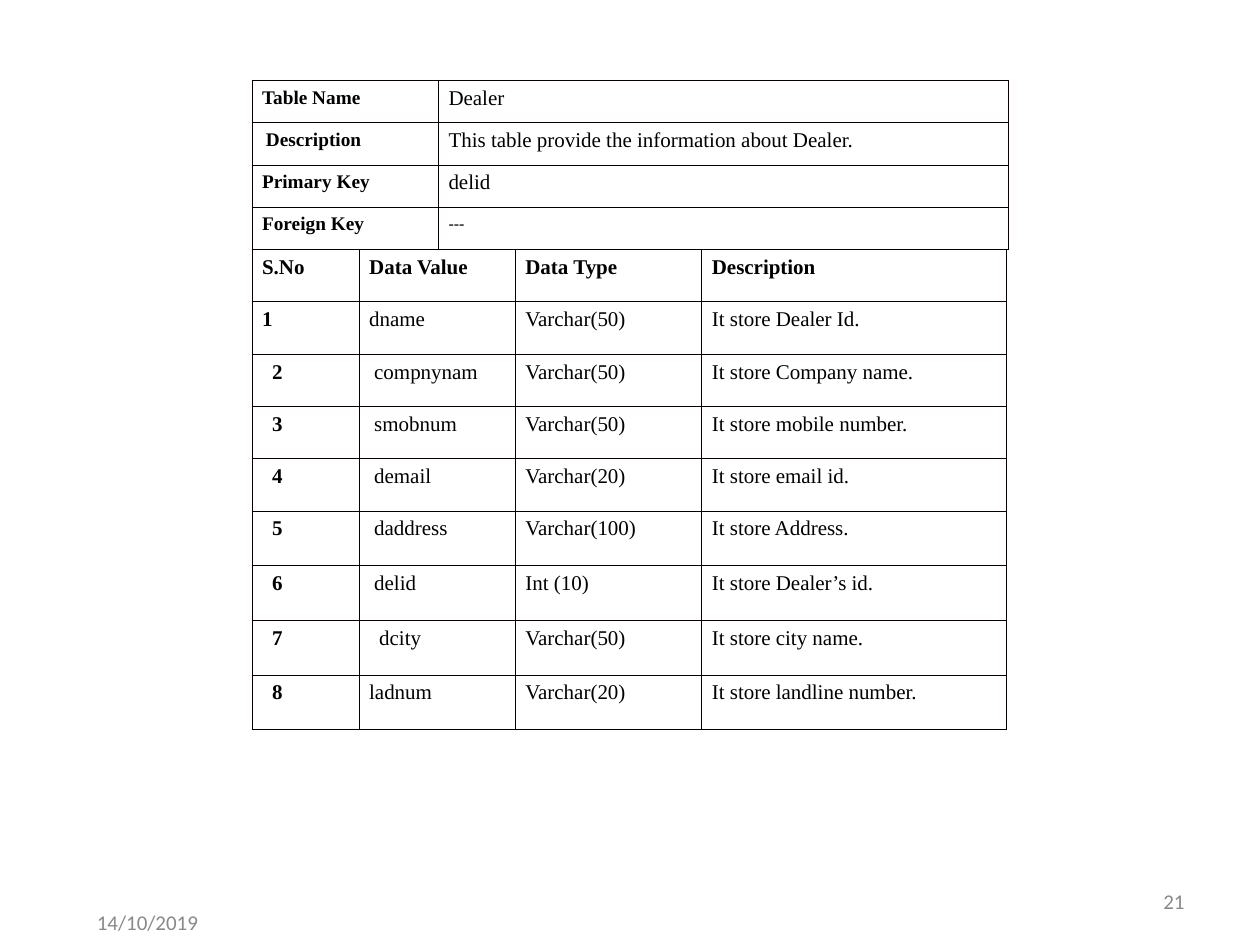
from dataclasses import dataclass

from lxml.etree import SubElement
from pptx import Presentation
from pptx.dml.color import RGBColor
from pptx.enum.text import MSO_ANCHOR, PP_ALIGN
from pptx.oxml.ns import qn
from pptx.slide import Slide
from pptx.table import _Cell
from pptx.util import Inches, Pt

COLORS = {"text": "000000", "border": "080000", "footer": "898989"}
SERIF, SANS = "Times New Roman", "Calibri"
SPACE = 0.04  # width of one step of cell indent


@dataclass
class CellText:
    text: str
    bold: bool = False
    size: float = 12
    font: str = SERIF
    indent: float = 0


@dataclass
class Grid:
    left: float
    top: float
    columns: list[float]
    heights: list[float]
    rows: list[list[CellText]]


@dataclass
class Footer:
    text: str
    left: float
    top: float
    alignment: PP_ALIGN


def label(text: str, indent: float = 0) -> CellText:
    return CellText(text, bold=True, size=11, indent=indent)


def field_row(number: int, name: str, steps: int, data_type: str, description: str) -> list[CellText]:
    number_indent = 0 if number == 1 else 2 * SPACE
    return [
        CellText(str(number), bold=True, indent=number_indent),
        CellText(name, indent=steps * SPACE),
        CellText(data_type),
        CellText(description),
    ]


SUMMARY = Grid(2, 0.64, [1.48, 4.52], [0.335] * 4, [
    [label("Table Name"), CellText("Dealer")],
    [label("Description", 0.03), CellText("This table provide the information about Dealer.")],
    [label("Primary Key"), CellText("delid")],
    [label("Foreign Key"), CellText("---", size=10, font=SANS)],
])

FIELDS = Grid(2, 1.98, [0.85, 1.24, 1.48, 2.42], [0.415] * 5 + [0.434] * 4, [
    [CellText(heading, bold=True) for heading in ("S.No", "Data Value", "Data Type", "Description")],
    field_row(1, "dname", 0, "Varchar(50)", "It store Dealer Id."),
    field_row(2, "compnynam", 1, "Varchar(50)", "It store Company name."),
    field_row(3, "smobnum", 1, "Varchar(50)", "It store mobile number."),
    field_row(4, "demail", 1, "Varchar(20)", "It store email id."),
    field_row(5, "daddress", 1, "Varchar(100)", "It store Address."),
    field_row(6, "delid", 1, "Int (10)", "It store Dealer’s id."),
    field_row(7, "dcity", 2, "Varchar(50)", "It store city name."),
    field_row(8, "ladnum", 0, "Varchar(20)", "It store landline number."),
])

FOOTERS = [
    Footer("21", 7.17, 6.95, PP_ALIGN.RIGHT),
    Footer("14/10/2019", 0.67, 7.12, PP_ALIGN.LEFT),
]


def set_borders(cell: _Cell) -> None:
    properties = cell._tc.get_or_add_tcPr()
    for side in ("lnL", "lnR", "lnT", "lnB"):
        line = SubElement(properties, qn(f"a:{side}"), w=str(Pt(0.45)))
        fill = SubElement(line, qn("a:solidFill"))
        SubElement(fill, qn("a:srgbClr"), val=COLORS["border"])


def fill_cell(cell: _Cell, content: CellText) -> None:
    set_borders(cell)
    cell.fill.background()
    cell.margin_left = Inches(0.08 + content.indent)
    cell.margin_right = Inches(0.08)
    cell.margin_top = cell.margin_bottom = Inches(0.05)
    cell.text = content.text
    font = cell.text_frame.paragraphs[0].font
    font.name, font.size, font.bold = content.font, Pt(content.size), content.bold
    font.color.rgb = RGBColor.from_string(COLORS["text"])


def draw_grid(slide: Slide, grid: Grid) -> None:
    table = slide.shapes.add_table(
        len(grid.rows), len(grid.columns), Inches(grid.left), Inches(grid.top),
        Inches(sum(grid.columns)), Inches(sum(grid.heights)),
    ).table
    table.first_row = table.horz_banding = False
    for column, width in zip(table.columns, grid.columns):
        column.width = Inches(width)
    for row, height, contents in zip(table.rows, grid.heights, grid.rows):
        row.height = Inches(height)
        for cell, content in zip(row.cells, contents):
            fill_cell(cell, content)


def draw_footer(slide: Slide, footer: Footer) -> None:
    box = slide.shapes.add_textbox(Inches(footer.left), Inches(footer.top), Inches(2.33), Inches(0.4))
    frame = box.text_frame
    frame.word_wrap = True
    frame.vertical_anchor = MSO_ANCHOR.MIDDLE
    frame.text = footer.text
    paragraph = frame.paragraphs[0]
    paragraph.alignment = footer.alignment
    paragraph.font.name, paragraph.font.size = SANS, Pt(12)
    paragraph.font.color.rgb = RGBColor.from_string(COLORS["footer"])


def main() -> None:
    presentation = Presentation()
    presentation.slide_width, presentation.slide_height = Inches(10), Inches(7.5)
    slide = presentation.slides.add_slide(presentation.slide_layouts[6])

    # Table summary above the list of its fields
    for grid in (SUMMARY, FIELDS):
        draw_grid(slide, grid)

    # Slide number and date
    for footer in FOOTERS:
        draw_footer(slide, footer)

    presentation.save("out.pptx")


if __name__ == "__main__":
    main()
